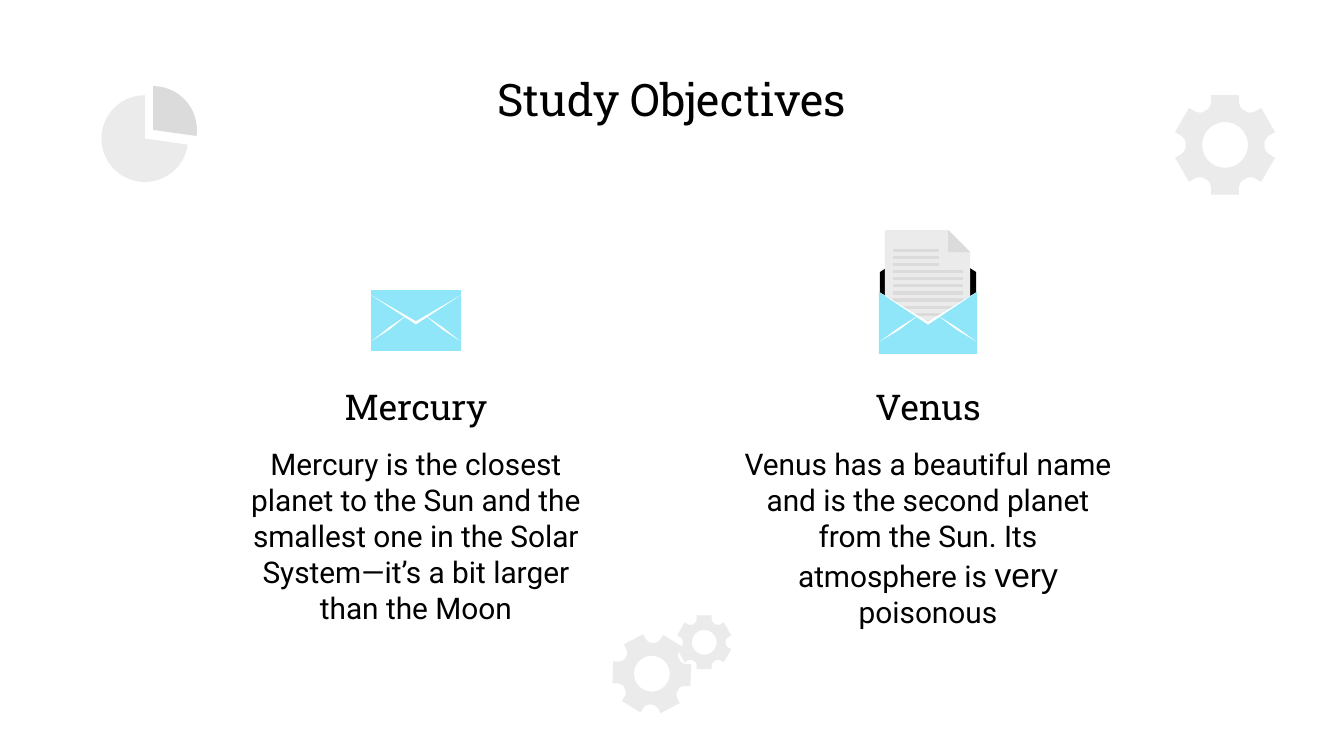
from math import cos, pi, radians, sin

from pptx import Presentation
from pptx.dml.color import RGBColor
from pptx.enum.text import MSO_ANCHOR, PP_ALIGN
from pptx.util import Inches, Pt

W = Inches(10)
H = W * 9 // 16
SLIDE = (0, 0, W, H)
MIDDLE, TOP = MSO_ANCHOR.MIDDLE, MSO_ANCHOR.TOP
CENTER = PP_ALIGN.CENTER
PALE, GREY, SKY, WHITE, BLACK = "EBEBEB", "DBDBDB", "90E6F9", "FFFFFF", "000000"
RECT = [(0, 0), (1, 0), (1, 1), (0, 1)]


def rgb(color):
    return RGBColor.from_string(color)


def part(box, x, y, w, h):
    """Return the box at the given shares of another box."""
    left, top, width, height = box
    return left + x * width, top + y * height, w * width, h * height


def percent(x, y, w, h):
    """Return the box at the given percentages of the slide."""
    return part(SLIDE, x / 100, y / 100, w / 100, h / 100)


def outline(shapes, box, color, *contours):
    """Fill closed contours whose points are shares of the box."""
    left, top, width, height = box
    builder = None
    for contour in contours:
        points = [(round(left + x * width), round(top + y * height)) for x, y in contour]
        if builder is None:
            builder = shapes.build_freeform(*points[0])
        else:
            builder.move_to(*points[0])
        builder.add_line_segments(points[1:], close=True)
    sp = builder.convert_to_shape()
    sp.fill.solid()
    sp.fill.fore_color.rgb = rgb(color)
    sp.line.fill.background()
    sp.shadow.inherit = False


def arc(start, end, radius=0.5, steps=48):
    angles = [radians(start + (end - start) * i / steps) for i in range(steps + 1)]
    return [(0.5 + radius * cos(a), 0.5 + radius * sin(a)) for a in angles]


def gear(shapes, box, turn=0):
    half = [(-0.4, -0.69), (-0.35, -0.71), (-0.31, -0.76), (-0.28, -0.84), (-0.28, -1)]
    tooth = half + [(-x, y) for x, y in reversed(half)]
    rim = []
    for i in range(6):
        a = radians(turn) + i * pi / 3
        rim += [(0.5 + (x * cos(a) - y * sin(a)) / 2,
                 0.5 + (x * sin(a) + y * cos(a)) / 2) for x, y in tooth]
    outline(shapes, box, PALE, rim, arc(0, 360, 0.23))


def pie(shapes, box, slice_box):
    outline(shapes, box, PALE, [(0.5, 0.5)] + arc(8, 270))
    outline(shapes, slice_box, GREY, [(0.5, 0.5)] + arc(-90, 8))


def envelope(shapes, box, body, edge, dip):
    """Draw an envelope whose flap runs from edge height down to dip height."""
    outline(shapes, box, SKY, body)
    outline(shapes, box, WHITE, [(0, edge), (0.5, dip + 0.05), (1, edge), (0.5, dip)])
    seam = [(0.4, dip - 0.1), (0.2, dip + 0.1), (0.01, dip + 0.32), (0.21, dip + 0.13)]
    for side in (seam, [(1 - x, y) for x, y in seam]):
        outline(shapes, box, WHITE, side)


def closed_envelope(shapes, box):
    envelope(shapes, box, RECT, 0.09, 0.52)


def letter(shapes, box):
    outline(shapes, box, PALE, [(0, 0), (0.74, 0), (1, 0.2), (1, 1), (0, 1)])
    outline(shapes, box, GREY, [(0.74, 0), (1, 0.2), (0.74, 0.2)])
    first, last, count = 0.17, 0.88, 12
    for i in range(count):
        y = first + i * (last - first) / (count - 1)
        outline(shapes, part(box, 0.09, y, 0.55 if i < 3 else 0.82, 0.03), GREY, RECT)


def open_envelope(shapes, box):
    outline(shapes, box, BLACK,
            [(0.5, 0.09), (0.01, 0.34), (0.01, 0.98), (0.99, 0.98), (0.99, 0.34)])
    letter(shapes, part(box, 0.06, 0, 0.87, 0.89))
    pocket = [(0, 0), (0.5, 0.48), (1, 0), (1, 1), (0, 1)]
    envelope(shapes, part(box, 0, 0.5, 1, 0.5), pocket, 0, 0.48)


def text(s, box, *runs, size, font, anchor=MIDDLE, after=0):
    """Add centred text; a run is a string or a (string, size, font) tuple."""
    tf = s.shapes.add_textbox(*(round(v) for v in box)).text_frame
    tf.word_wrap = True
    tf.vertical_anchor = anchor
    tf.margin_left = tf.margin_top = tf.margin_right = tf.margin_bottom = Inches(0.1)
    p = tf.paragraphs[0]
    p.alignment = CENTER
    p.space_after = Pt(after)
    for run in runs:
        words, run_size, run_font = (run, size, font) if isinstance(run, str) else run
        r = p.add_run()
        r.text = words
        r.font.size = Pt(run_size)
        r.font.name = run_font
        r.font.color.rgb = rgb(BLACK)


def objective(s, box, heading, body, icon, icon_box):
    icon(s.shapes.add_group_shape().shapes, icon_box)
    text(s, part(box, 0, 0, 1, 0.24), heading, size=19, font="Roboto Slab")
    text(s, part(box, 0, 0.24, 1, 0.76), *body, size=16, font="Roboto",
         anchor=TOP, after=16)


def decoration(s):
    gear(s.shapes, percent(87.45, 12.6, 7.4, 13.16))
    gear(s.shapes, percent(45.6, 83.97, 5.8, 10.31), turn=32)
    gear(s.shapes, percent(50.4, 81.42, 4, 7.11))
    pie(s.shapes, percent(7.55, 12.6, 6.45, 11.47), percent(8.15, 11.4, 6.5, 11.56))


def main():
    prs = Presentation()
    prs.slide_width, prs.slide_height = W, H
    s = prs.slides.add_slide(prs.slide_layouts[6])
    decoration(s)
    text(s, percent(7.8, 10.6, 84.4, 4.98), "Study Objectives",
         size=24, font="Roboto Slab")
    objectives = [
        (16.1, "Mercury",
         ["Mercury is the closest planet to the Sun and the smallest one in the "
          "Solar System—it’s a bit larger than the Moon"],
         closed_envelope, percent(27.6, 38.3, 6.7, 8.1)),
        (54.2, "Venus",
         ["Venus has a beautiful name and is the second planet from the Sun. "
          "Its atmosphere is ", ("very ", 18, "Arial"), "poisonous"],
         open_envelope, percent(65.4, 30.43, 7.3, 16.37)),
    ]
    for x, heading, body, icon, icon_box in objectives:
        objective(s, percent(x, 50.2, 29.7, 29.36), heading, body, icon, icon_box)
    prs.save("out.pptx")


if __name__ == "__main__":
    main()
